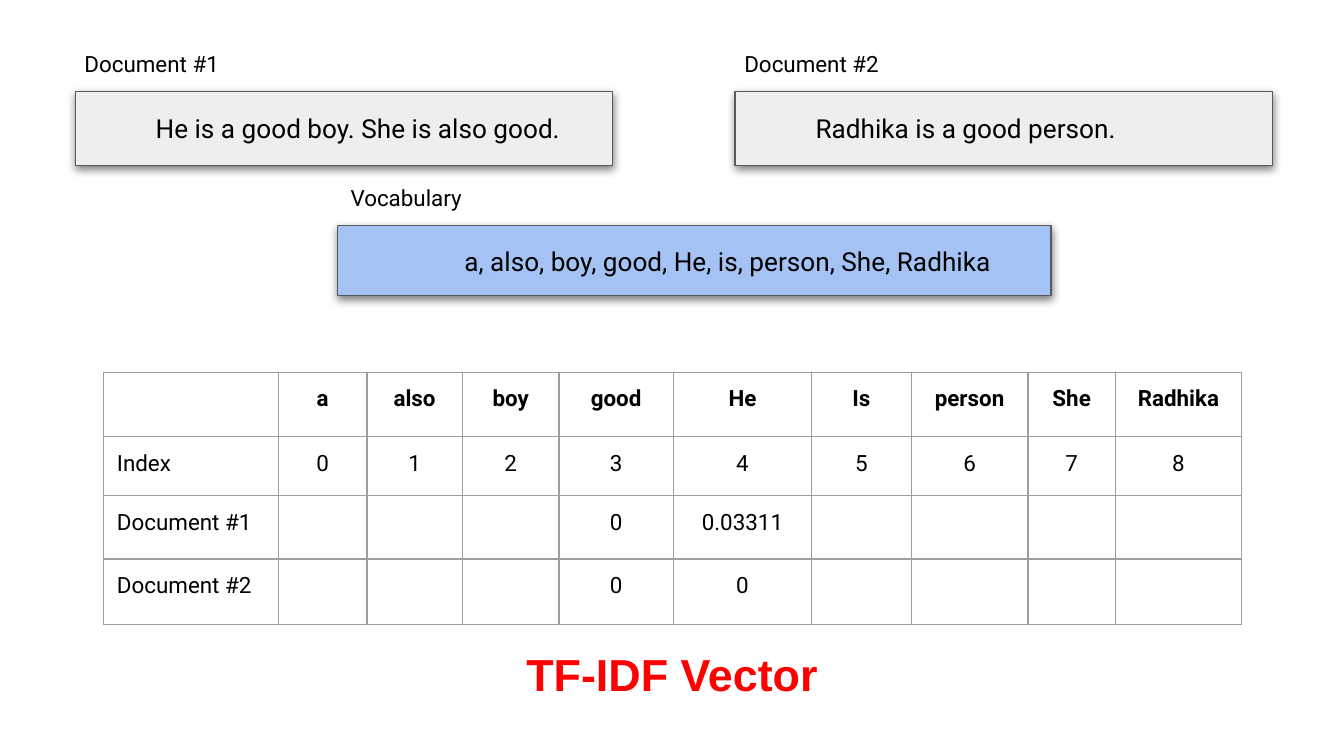
from dataclasses import dataclass

from lxml import etree
from pptx import Presentation
from pptx.dml.color import RGBColor
from pptx.enum.shapes import MSO_SHAPE
from pptx.enum.text import MSO_ANCHOR, MSO_AUTO_SIZE, PP_ALIGN
from pptx.oxml.ns import qn
from pptx.util import Inches, Length, Pt

RECTANGLE = MSO_SHAPE.RECTANGLE
TOP, MIDDLE = MSO_ANCHOR.TOP, MSO_ANCHOR.MIDDLE
LEFT, CENTER = PP_ALIGN.LEFT, PP_ALIGN.CENTER

BLACK = RGBColor(0x00, 0x00, 0x00)
RED = RGBColor(0xFF, 0x00, 0x00)
GREY = RGBColor(0xEE, 0xEE, 0xEE)
BLUE = RGBColor(0xA4, 0xC2, 0xF4)
OUTLINE = RGBColor(0x59, 0x59, 0x59)
TABLE_LINE = RGBColor(0x9E, 0x9E, 0x9E)

GRID_COLUMNS, GRID_ROWS = 100, 56.25
INSET = Inches(0.1)
LINE_WIDTH = Pt(0.75)


def grid(cells: float) -> Length:
    return Inches(cells / 10)


@dataclass(frozen=True)
class Area:
    column: float
    row: float
    columns: float
    rows: float

    def lengths(self) -> tuple[Length, ...]:
        return tuple(grid(n) for n in (self.column, self.row, self.columns, self.rows))


@dataclass(frozen=True)
class TextStyle:
    size: float
    font: str = "Roboto"
    color: RGBColor = BLACK
    bold: bool = False
    align: PP_ALIGN = LEFT


@dataclass(frozen=True)
class Panel:
    label: str
    label_area: Area
    text: str
    box_area: Area
    fill: RGBColor
    align: PP_ALIGN = LEFT


LABEL = TextStyle(12)
TITLE = TextStyle(24, "Arial", RED, True, CENTER)
TITLE_AREA = Area(10.3, 47.8, 79.4, 4.7)

PANELS = [
    Panel("Document #1", Area(5.3, 2.7, 40, 4.1),
          "He is a good boy. She is also good.", Area(5.6, 6.8, 40, 5.5), GREY),
    Panel("Document #2", Area(54.4, 2.7, 40, 4.1),
          "Radhika is a good person.", Area(54.7, 6.8, 40, 5.5), GREY),
    Panel("Vocabulary", Area(25.1, 12.7, 49.8, 4.1),
          "a, also, boy, good, He, is, person, She, Radhika",
          Area(25.1, 16.8, 53.1, 5.2), BLUE, CENTER),
]

TABLE_COLUMN, TABLE_ROW = 7.7, 27.7
COLUMN_WIDTHS = [13, 6.6, 7.1, 7.2, 8.5, 10.3, 7.4, 8.7, 6.5, 9.4]
ROW_HEIGHTS = [4.8, 4.4, 4.7, 4.9]
WORDS = ["a", "also", "boy", "good", "He", "Is", "person", "She", "Radhika"]
SCORES = {"Document #1": {"good": "0", "He": "0.03311"},
          "Document #2": {"good": "0", "He": "0"}}
TABLE_TEXT = [["", *WORDS], ["Index", *(str(i) for i in range(len(WORDS)))]] + [
    [name, *(scores.get(word, "") for word in WORDS)] for name, scores in SCORES.items()]


def write(frame, text: str, style: TextStyle) -> None:
    frame.text = text
    para = frame.paragraphs[0]
    para.alignment = style.align
    for span in para.runs:
        span.font.name = style.font
        span.font.size = Pt(style.size)
        span.font.bold = style.bold
        span.font.color.rgb = style.color


def set_frame(frame, anchor: MSO_ANCHOR) -> None:
    frame.word_wrap = True
    frame.auto_size = MSO_AUTO_SIZE.NONE
    frame.vertical_anchor = anchor
    frame.margin_left = frame.margin_right = INSET
    frame.margin_top = frame.margin_bottom = INSET


def add_shadow(box) -> None:
    box.shadow.inherit = False
    effects = box._element.spPr.find(qn("a:effectLst"))
    shadow = etree.SubElement(effects, qn("a:outerShdw"), blurRad=str(Pt(4.5)),
                              dist=str(Pt(1.5)), dir="5400000", algn="bl", rotWithShape="0")
    color = etree.SubElement(shadow, qn("a:srgbClr"), val=str(BLACK))
    etree.SubElement(color, qn("a:alpha"), val="50000")


def draw_panel(page, panel: Panel) -> None:
    label = page.shapes.add_textbox(*panel.label_area.lengths())
    set_frame(label.text_frame, TOP)
    write(label.text_frame, panel.label, LABEL)

    box = page.shapes.add_shape(RECTANGLE, *panel.box_area.lengths())
    box.fill.solid()
    box.fill.fore_color.rgb = panel.fill
    box.line.color.rgb = OUTLINE
    box.line.width = LINE_WIDTH
    add_shadow(box)
    set_frame(box.text_frame, MIDDLE)
    write(box.text_frame, panel.text, TextStyle(14, align=panel.align))
    properties = box.text_frame.paragraphs[0]._p.get_or_add_pPr()
    properties.set("marL", "0")
    properties.set("indent", str(Inches(0.5)))


def add_borders(cell) -> None:
    properties = cell._tc.get_or_add_tcPr()
    for index, side in enumerate(("lnL", "lnR", "lnT", "lnB")):
        line = etree.Element(qn(f"a:{side}"), w=str(LINE_WIDTH))
        fill = etree.SubElement(line, qn("a:solidFill"))
        etree.SubElement(fill, qn("a:srgbClr"), val=str(TABLE_LINE))
        properties.insert(index, line)


def draw_table(page) -> None:
    area = Area(TABLE_COLUMN, TABLE_ROW, sum(COLUMN_WIDTHS), sum(ROW_HEIGHTS))
    table = page.shapes.add_table(len(ROW_HEIGHTS), len(COLUMN_WIDTHS), *area.lengths()).table
    table.first_row = table.horz_banding = False
    for column, width in zip(table.columns, COLUMN_WIDTHS):
        column.width = grid(width)
    for i, (row, height) in enumerate(zip(table.rows, ROW_HEIGHTS)):
        row.height = grid(height)
        for j, cell in enumerate(row.cells):
            cell.fill.background()
            add_borders(cell)
            if TABLE_TEXT[i][j]:
                cell.margin_left = cell.margin_right = INSET
                cell.margin_top = cell.margin_bottom = INSET
                style = TextStyle(12, bold=i == 0, align=CENTER if j else LEFT)
                write(cell.text_frame, TABLE_TEXT[i][j], style)


def draw_title(page) -> None:
    title = page.shapes.title
    title.left, title.top, title.width, title.height = TITLE_AREA.lengths()
    set_frame(title.text_frame, MIDDLE)
    write(title.text_frame, "TF-IDF Vector", TITLE)


def main() -> None:
    deck = Presentation()
    deck.slide_width, deck.slide_height = grid(GRID_COLUMNS), grid(GRID_ROWS)
    page = deck.slides.add_slide(deck.slide_layouts.get_by_name("Title Only"))
    for panel in PANELS:
        draw_panel(page, panel)
    draw_table(page)
    draw_title(page)
    deck.save("out.pptx")


if __name__ == "__main__":
    main()
